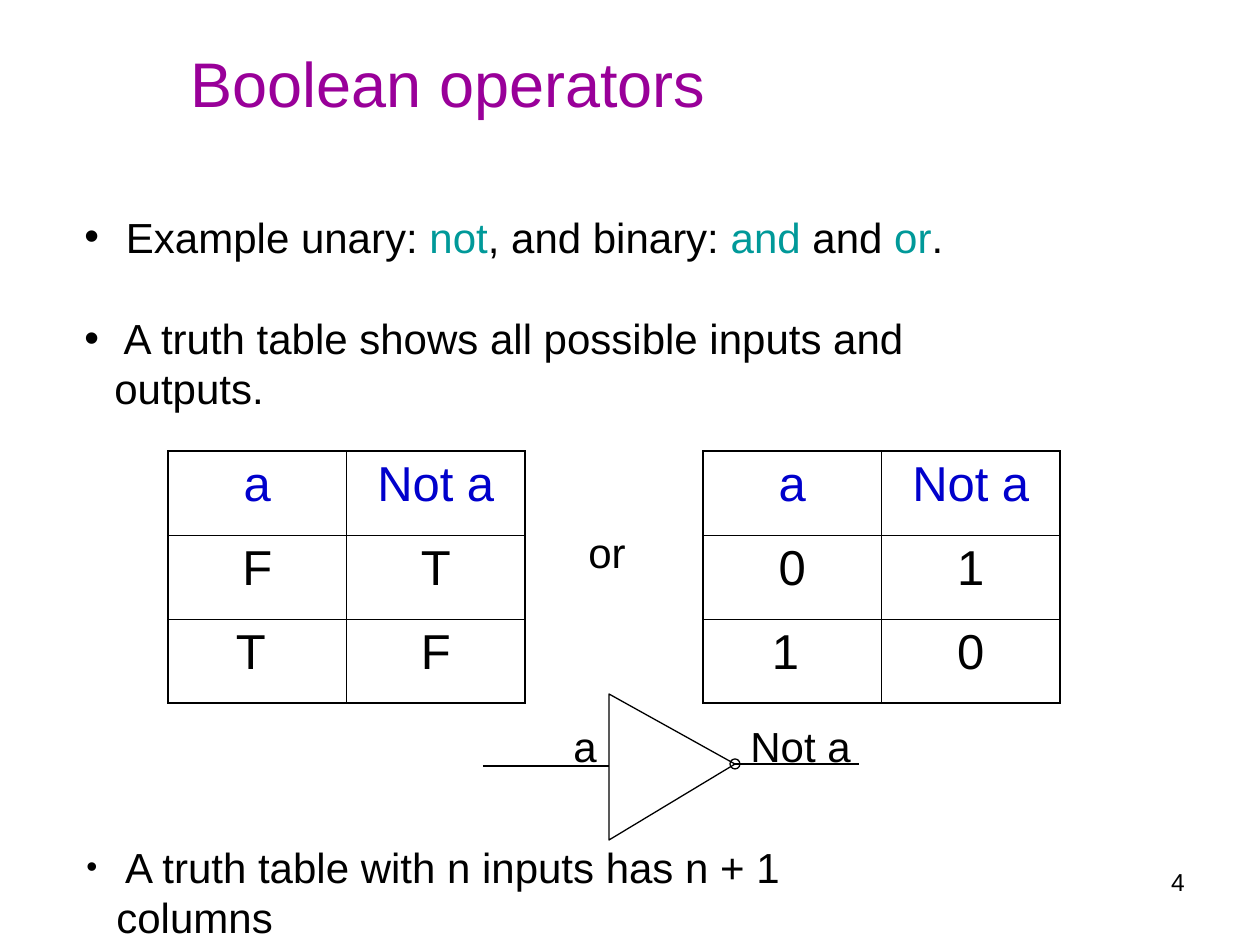
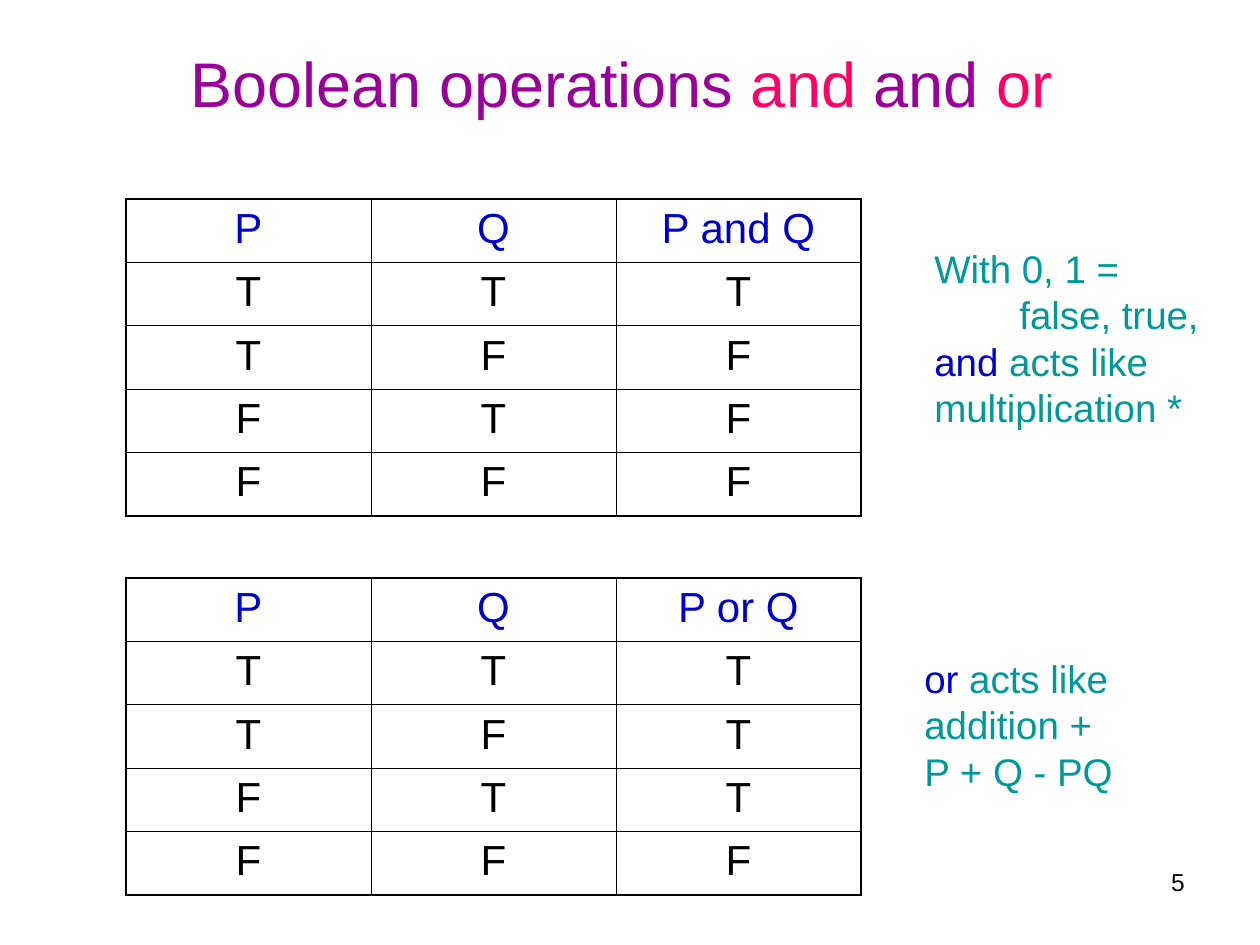
from lxml import etree
from pptx import Presentation
from pptx.dml.color import RGBColor
from pptx.enum import shapes, text
from pptx.oxml import ns
from pptx.util import Pt

BLACK = RGBColor(0, 0, 0)
PURPLE = RGBColor(0x99, 0, 0x99)
PINK = RGBColor(0xFF, 0, 0x66)
TEAL = RGBColor(0, 0x99, 0x99)
BLUE = RGBColor(0, 0, 0xCC)
FONT = "Arial"
BULLET_INDENT = 30
OUTER, INNER = 1.08, 0.45

# A paragraph is a list of (text, colour) or (text, colour, size) runs.
# A text is (left, top, width, height), size, paragraphs, options.
# A table is (left, top, width, height), size, rows.
NOT_BOX = (168, 451, 357, 252)
NUMBER_BOX = (903, 861, 294, 66)
SLIDES = [
    {
        "number": "4",
        "title": ((178, 38, 547, 88), [("Boolean operators", PURPLE)]),
        "tables": [
            (NOT_BOX, 28, [("a", "Not a"), ("F", "T"), ("T ", "F")]),
            ((703, *NOT_BOX[1:]), 28, [("a", "Not a"), ("0", "1"), ("1 ", "0")]),
        ],
        "texts": [
            ((72, 205, 994, 164), 24, [
                [(" Example unary: ", BLACK), ("not", TEAL), (", and binary: ", BLACK),
                 ("and ", TEAL), ("and ", BLACK), ("or", TEAL), (".", BLACK)],
                [(" A truth table shows all possible inputs and outputs.", BLACK)],
            ], {"bullets": True, "gap": 29}),
            ((74, 835, 869, 63), 24, [
                [(" ", BLACK, 18), ("A truth table with n inputs has n + 1 columns", BLACK)],
            ], {"bullets": True}),
            ((576, 520, 68, 63), 24, [[("or", BLACK)]], {}),
            ((561, 714, 54, 63), 24, [[("a", BLACK)]], {}),
            ((738, 714, 132, 63), 24, [[("Not a", BLACK)]], {}),
        ],
        "gate": {
            "triangle": (599, 704, 146, 126),
            "bubble": (730, 759, 10, 10),
            "wires": [(483, 766, 609, 766), (733, 764, 859, 764)],
        },
    },
    {
        "number": "5",
        "title": ((178, 38, 895, 88), [("Boolean operations ", PURPLE), ("and", PINK),
                                       (" and ", PURPLE), ("or", PINK)]),
        "tables": [
            ((126, 199, 735, 317), 24,
             [("P", "Q", "P and Q"), "TTT", "TFF", "FTF", "FFF"]),
            ((126, 578, 735, 317), 24,
             [("P", "Q", "P or Q"), "TTT", "TFT", "FTT", "FFF"]),
        ],
        "texts": [
            ((922, 239, 296, 198), 22, [
                [("With 0, 1 =", TEAL)],
                [("false, true,", TEAL)],
                [("and ", BLUE), ("acts like", TEAL)],
                [("multiplication *", TEAL)],
            ], {"indents": {1: 85}}),
            ((912, 649, 225, 151), 22, [
                [("or", BLUE), (" acts like", TEAL)],
                [("addition +", TEAL)],
                [("P + Q - PQ", TEAL)],
            ], {}),
        ],
    },
]


def emu(px):
    return round(px * 914400 / 126)


def scaled(box):
    return [emu(v) for v in box]


def sub(parent, tag, **attrs):
    return etree.SubElement(parent, ns.qn(tag), attrs)


def set_all(target, values):
    for name, value in values.items():
        setattr(target, name, value)


def add_runs(p, runs, size, align=text.PP_ALIGN.LEFT):
    p.alignment = align
    for words, color, *own_size in runs:
        r = p.add_run()
        r.text = words
        set_all(r.font, {"name": FONT, "size": Pt(own_size[0] if own_size else size)})
        r.font.color.rgb = color


def add_bullet(p):
    pPr = p._p.get_or_add_pPr()
    pPr.set("marL", str(emu(BULLET_INDENT)))
    pPr.set("indent", str(-emu(BULLET_INDENT)))
    sub(sub(pPr, "a:buClr"), "a:srgbClr", val=str(BLACK))
    sub(pPr, "a:buFont", typeface=FONT)
    sub(pPr, "a:buChar", char="•")


def add_text(s, box, size, paragraphs, bullets=False, gap=0, indents=None,
             align=text.PP_ALIGN.LEFT):
    tf = s.shapes.add_textbox(*scaled(box)).text_frame
    tf.word_wrap = True
    for i, runs in enumerate(paragraphs):
        p = tf.add_paragraph() if i else tf.paragraphs[0]
        add_runs(p, runs, size, align)
        if i and gap:
            p.space_before = Pt(gap)
        if bullets:
            add_bullet(p)
        if indents and i in indents:
            p._p.get_or_add_pPr().set("marL", str(emu(indents[i])))


def set_title(s, box, runs):
    sp = s.shapes.title
    set_all(sp, dict(zip(("left", "top", "width", "height"), scaled(box))))
    set_all(sp.text_frame, {"word_wrap": True, "auto_size": text.MSO_AUTO_SIZE.NONE,
                            "vertical_anchor": text.MSO_ANCHOR.TOP})
    add_runs(sp.text_frame.paragraphs[0], runs, 36)


def add_borders(cell, outer_sides):
    """Draw the four edges, heavier on the rim of the table."""
    tcPr = cell._tc.get_or_add_tcPr()
    for side, is_outer in outer_sides.items():
        width = Pt(OUTER if is_outer else INNER)
        ln = sub(tcPr, f"a:ln{side}", w=str(width))
        sub(sub(ln, "a:solidFill"), "a:srgbClr", val=str(BLACK))


def add_table(s, box, size, rows):
    n_rows, n_cols = len(rows), len(rows[0])
    table = s.shapes.add_table(n_rows, n_cols, *scaled(box)).table
    set_all(table, {"first_row": False, "horz_banding": False})
    for i, row in enumerate(rows):
        table.rows[i].height = emu(box[3] / n_rows)
        for j, value in enumerate(row):
            table.columns[j].width = emu(box[2] / n_cols)
            cell = table.cell(i, j)
            add_borders(cell, {"L": j == 0, "R": j == n_cols - 1,
                               "T": i == 0, "B": i == n_rows - 1})
            cell.fill.background()
            add_runs(cell.text_frame.paragraphs[0], [(value, BLACK if i else BLUE)],
                     size, text.PP_ALIGN.CENTER)


def set_outline(sp):
    sp.line.color.rgb = BLACK
    sp.line.width = Pt(0.75)


def add_outline_shape(s, kind, box):
    sp = s.shapes.add_shape(kind, *scaled(box))
    sp.shadow.inherit = False
    sp.fill.background()
    set_outline(sp)
    return sp


def add_not_gate(s, triangle, bubble, wires):
    body = add_outline_shape(s, shapes.MSO_SHAPE.ISOSCELES_TRIANGLE, triangle)
    body.rotation = 90
    body.adjustments[0] = 0.48
    for wire in wires:
        line = s.shapes.add_connector(shapes.MSO_CONNECTOR.STRAIGHT, *scaled(wire))
        set_outline(line)
        sub(line._element.spPr, "a:effectLst")
    add_outline_shape(s, shapes.MSO_SHAPE.OVAL, bubble)


def main():
    prs = Presentation()
    set_all(prs, {"slide_width": emu(1260), "slide_height": emu(945)})
    for content in SLIDES:
        s = prs.slides.add_slide(prs.slide_layouts[5])
        set_title(s, *content["title"])
        for table in content["tables"]:
            add_table(s, *table)
        if "gate" in content:
            add_not_gate(s, **content["gate"])
        for box, size, paragraphs, options in content["texts"]:
            add_text(s, box, size, paragraphs, **options)
        add_text(s, NUMBER_BOX, 14, [[(content["number"], BLACK)]],
                 align=text.PP_ALIGN.RIGHT)
    prs.save("out.pptx")


if __name__ == "__main__":
    main()
